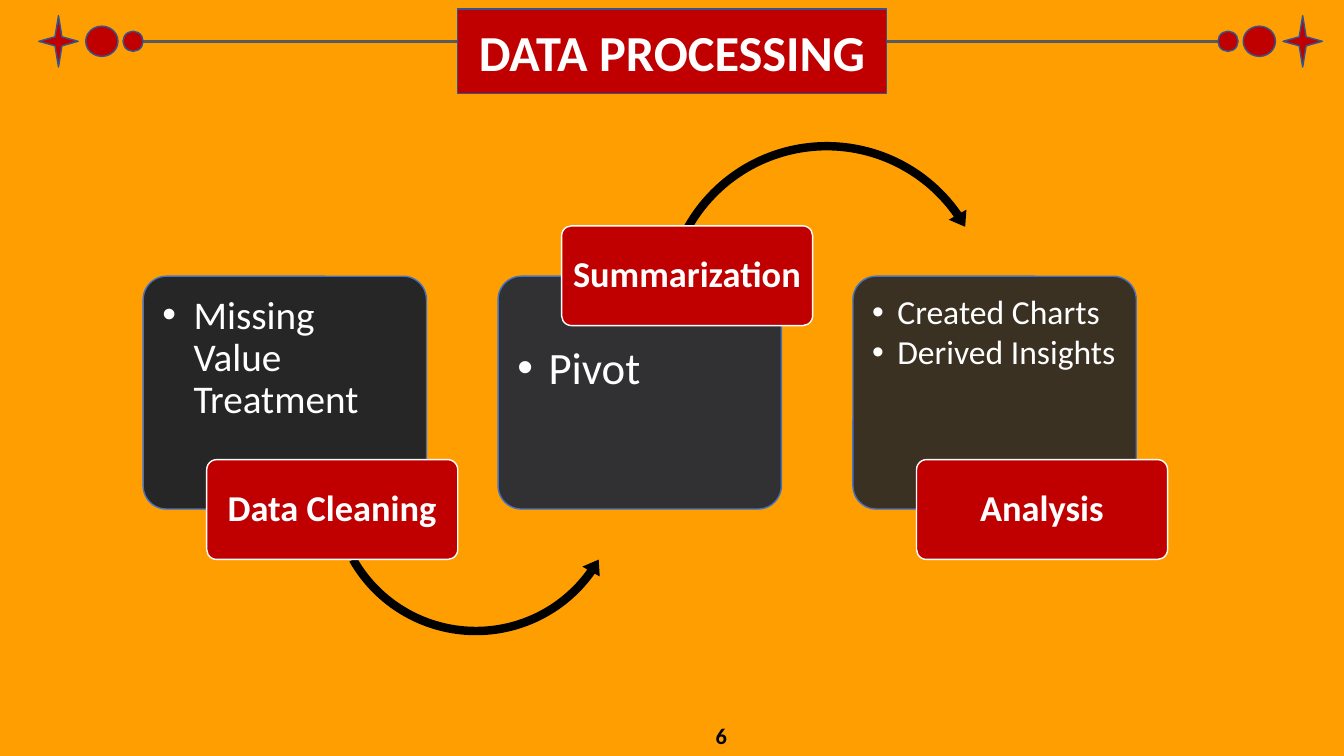
"""Build the data processing slide: three linked step cards under a decorated title."""
import pptx
import pptx.util
import pptx.dml.color
import pptx.enum.shapes
import pptx.enum.text
import pptx.oxml.ns
from lxml import etree

TITLE = "DATA PROCESSING"
PAGE_NUMBER = "6"
STEPS = [
    dict(label="Data Cleaning", items=["Missing Value Treatment"], size=28,
         indent=0.31, card="card_dark", opacity=100, label_above=False),
    dict(label="Summarization", items=["Pivot"], size=32,
         indent=0.31, card="card_grey", opacity=100, label_above=True),
    dict(label="Analysis", items=["Created Charts", "Derived Insights"], size=24,
         indent=0.25, card="card_dark", opacity=90, label_above=False),
]
COLORS = dict(background="FF9E00", red="C00000", outline="325491", rule="595959",
              card_dark="262626", card_grey="313133", card_edge="4472C4",
              white="FFFFFF", black="000000")
FONT = "Calibri"

SLIDE_WIDTH, SLIDE_HEIGHT = 13.33, 7.5
CARD_LEFT, CARD_TOP, CARD_PITCH = 1.42, 2.74, 3.52
CARD_SIZE, LABEL_SIZE, BODY_SIZE = (2.81, 2.31), (2.49, 0.99), (2.7, 1.71)
LABEL_SHIFT, LABEL_RISE, LABEL_DROP = 0.63, -0.5, 1.82
BODY_MARGIN, BODY_DROP = 0.05, 0.55
RULE_Y, RULE_START, ORNAMENT_AXIS = 0.41, 1.36, 6.75

SHAPES = pptx.enum.shapes.MSO_SHAPE
ALIGN = pptx.enum.text.PP_ALIGN
ANCHOR = pptx.enum.text.MSO_ANCHOR
ORNAMENTS = [
    (SHAPES.FLOWCHART_CONNECTOR, 1.32, 0.2, 0.2),
    (SHAPES.FLOWCHART_CONNECTOR, 1.01, 0.32, 0.3),
    (SHAPES.STAR_4_POINT, 0.58, 0.39, 0.51),
]
ARROWS = [
    (SHAPES.LEFT_CIRCULAR_ARROW, (3.22, 3.36, 3, 3), (0.028, 3.466, 21.221, 90.245, 0.033)),
    (SHAPES.CIRCULAR_ARROW, (6.52, 1.35, 3.36, 3.36), (0.025, 3.074, 195.171, 125.755, 0.03)),
]


def inches(*lengths):
    return [pptx.util.Inches(length) for length in lengths]


def color(name):
    return pptx.dml.color.RGBColor.from_string(COLORS[name])


def add_child(parent, tag, **attributes):
    return etree.SubElement(parent, pptx.oxml.ns.qn(tag), **attributes)


def paint(shape, fill, line=None, width=1, opacity=100):
    shape.fill.solid()
    shape.fill.fore_color.rgb = color(fill)
    if opacity < 100:
        tint = shape.fill._xPr.find(".//" + pptx.oxml.ns.qn("a:srgbClr"))
        add_child(tint, "a:alpha", val=str(opacity * 1000))
    if line:
        shape.line.color.rgb = color(line)
        shape.line.width = pptx.util.Pt(width)
    else:
        shape.line.fill.background()


def add_shape(slide, kind, box, adjustments=(), **look):
    shape = slide.shapes.add_shape(kind, *inches(*box))
    shape.shadow.inherit = False
    for index, value in enumerate(adjustments):
        shape.adjustments[index] = value
    paint(shape, **look)
    return shape


def place(placeholder, box):
    """Position a placeholder and bring it to the front."""
    (placeholder.left, placeholder.top,
     placeholder.width, placeholder.height) = inches(*box)
    placeholder.element.getparent().append(placeholder.element)


def write(shape, *lines, size, ink="white", bold=True, align=ALIGN.CENTER,
          anchor=ANCHOR.MIDDLE, inset=(0.1, 0.05), spacing=1, after=0, bullet_indent=0):
    frame = shape.text_frame
    frame.word_wrap = True
    frame.auto_size = pptx.enum.text.MSO_AUTO_SIZE.NONE
    frame.vertical_anchor = anchor
    frame.margin_left = frame.margin_right = pptx.util.Inches(inset[0])
    frame.margin_top = frame.margin_bottom = pptx.util.Inches(inset[1])
    frame.text = "\n".join(lines)
    for paragraph in frame.paragraphs:
        paragraph.alignment = align
        paragraph.line_spacing = spacing
        paragraph.space_before = pptx.util.Pt(0)
        paragraph.space_after = pptx.util.Pt(after)
        for run in paragraph.runs:
            run.font.name, run.font.size, run.font.bold = FONT, pptx.util.Pt(size), bold
            run.font.color.rgb = color(ink)
        if bullet_indent:
            properties = paragraph._p.get_or_add_pPr()
            indent = pptx.util.Inches(bullet_indent)
            properties.set("marL", str(indent))
            properties.set("indent", str(-indent))
            add_child(properties, "a:buFont", typeface="Arial")
            add_child(properties, "a:buChar", char="•")


def add_header(slide):
    rule = slide.shapes.add_connector(
        pptx.enum.shapes.MSO_CONNECTOR.STRAIGHT,
        *inches(RULE_START, RULE_Y, 2 * ORNAMENT_AXIS - RULE_START, RULE_Y))
    rule.line.color.rgb = color("rule")
    rule.line.width = pptx.util.Pt(2)
    add_child(rule.element.spPr, "a:effectLst")
    for kind, center, width, height in ORNAMENTS:
        for x in (center, 2 * ORNAMENT_AXIS - center):
            box = (x - width / 2, RULE_Y - height / 2, width, height)
            add_shape(slide, kind, box, fill="red", line="outline")
    title = slide.shapes.title
    place(title, (4.54, 0.09, 4.25, 0.84))
    paint(title, "red", "outline")
    write(title, TITLE, size=36)


def add_step(slide, column, step, body):
    left = CARD_LEFT + column * CARD_PITCH
    above = step["label_above"]
    add_shape(slide, SHAPES.ROUNDED_RECTANGLE, (left, CARD_TOP, *CARD_SIZE), (0.1,),
              fill=step["card"], line="card_edge", opacity=step["opacity"])
    place(body, (left + BODY_MARGIN, CARD_TOP + (BODY_DROP if above else BODY_MARGIN),
                 *BODY_SIZE))
    write(body, *step["items"], size=step["size"], bold=False, align=ALIGN.LEFT,
          anchor=ANCHOR.TOP, inset=(0.14, 0.14), spacing=0.9, after=3,
          bullet_indent=step["indent"])
    if column < len(ARROWS):
        add_shape(slide, *ARROWS[column], fill="black")
    label_top = CARD_TOP + (LABEL_RISE if above else LABEL_DROP)
    label = add_shape(slide, SHAPES.ROUNDED_RECTANGLE,
                      (left + LABEL_SHIFT, label_top, *LABEL_SIZE), (0.1,),
                      fill="red", line="white")
    write(label, step["label"], size=26, inset=(0.05, 0.04), spacing=0.9)


def main():
    presentation = pptx.Presentation()
    presentation.slide_width, presentation.slide_height = inches(SLIDE_WIDTH, SLIDE_HEIGHT)
    slide = presentation.slides.add_slide(
        presentation.slide_layouts.get_by_name("Comparison"))
    slide.background.fill.solid()
    slide.background.fill.fore_color.rgb = color("background")

    title, *bodies = list(slide.placeholders)
    add_header(slide)
    for column, (step, body) in enumerate(zip(STEPS, bodies)):
        add_step(slide, column, step, body)
    for unused in bodies[len(STEPS):]:
        unused.element.getparent().remove(unused.element)

    number = slide.shapes.add_textbox(*inches(4.31, 7.1, 3, 0.4))
    write(number, PAGE_NUMBER, size=16, ink="black", align=ALIGN.RIGHT)
    presentation.save("out.pptx")


if __name__ == "__main__":
    main()
